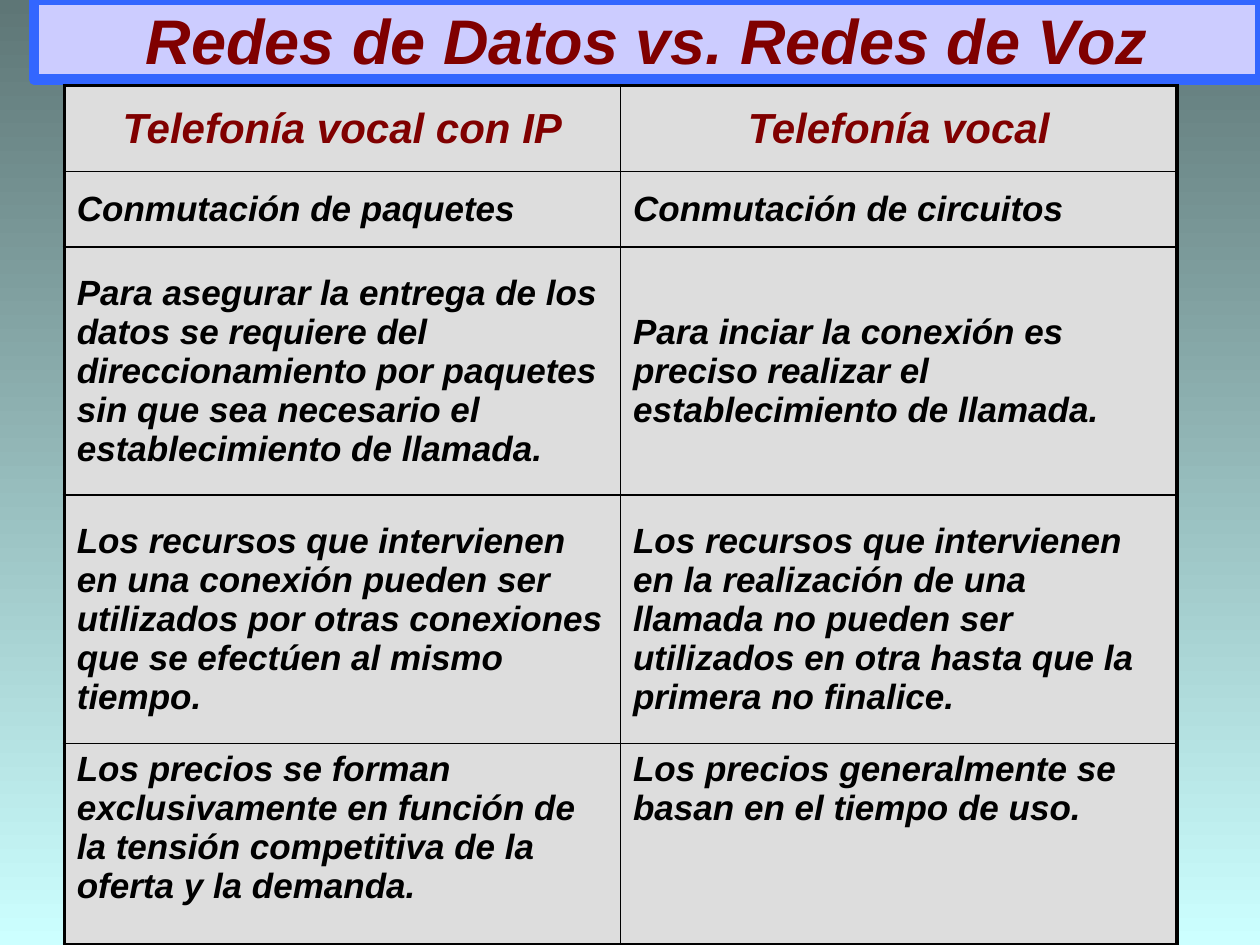
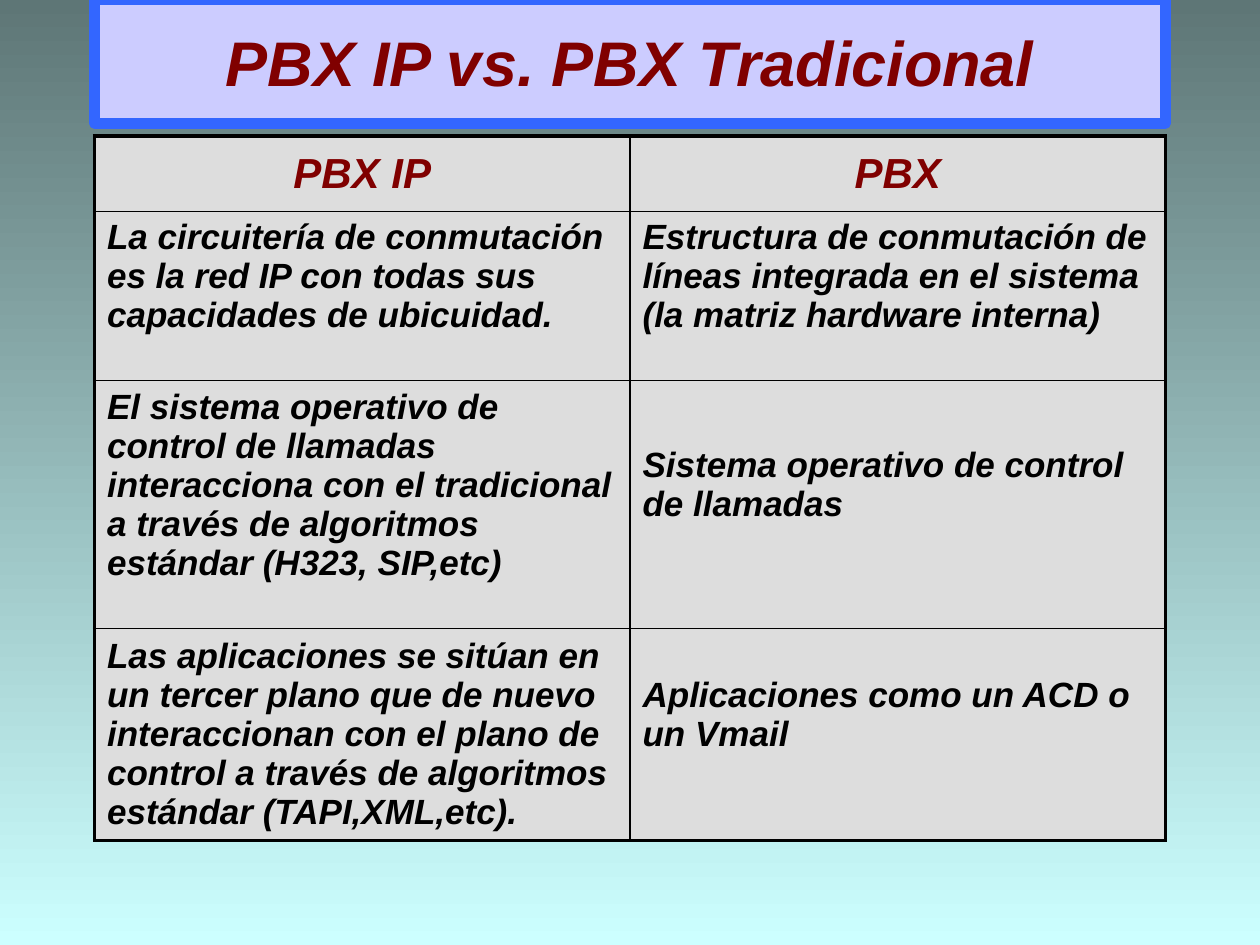
from dataclasses import dataclass

import pptx
import pptx.dml.color
import pptx.enum.text
import pptx.oxml
import pptx.oxml.ns
import pptx.util
from pptx.util import Inches

HUES = {
    "top": "5E7676",
    "base": "CCFFFF",
    "band": "CCCCFF",
    "edge": "3366FF",
    "head": "800000",
    "text": "000000",
    "cell": "DDDDDD",
}
FONT = "Arial"
PAD = 0.05
GAP = 0.36  # bottom margin that lifts the text by half a line
THICK, THIN = 2.25, 1

MID = pptx.enum.text.MSO_ANCHOR.MIDDLE
TOP = pptx.enum.text.MSO_ANCHOR.TOP
LEFT = pptx.enum.text.PP_ALIGN.LEFT
CENTER = pptx.enum.text.PP_ALIGN.CENTER


@dataclass
class Entry:
    text: str
    foot: float = PAD
    anchor: pptx.enum.text.MSO_ANCHOR = MID


@dataclass
class Row:
    height: float
    cells: tuple[Entry, Entry]


@dataclass
class Page:
    title: str
    band: tuple[float, float, float]  # left, width, height
    left: float
    top: float
    width: float
    rows: list[Row]


PAGES = [
    Page("Redes de Datos vs. Redes de Voz", (0.27, 9.73, 0.63), 0.51, 0.68, 8.83, [
        Row(0.68, (Entry("Telefonía vocal con IP"), Entry("Telefonía vocal"))),
        Row(0.6, (Entry("Conmutación de paquetes"),
                  Entry("Conmutación de circuitos"))),
        Row(1.97, (
            Entry("Para asegurar la entrega de los datos se requiere del "
                  "direccionamiento por paquetes sin que sea necesario el "
                  "establecimiento de llamada."),
            Entry("Para inciar la conexión es preciso realizar el "
                  "establecimiento de llamada."))),
        Row(1.97, (
            Entry("Los recursos que intervienen en una conexión pueden ser "
                  "utilizados por otras conexiones que se efectúen al mismo "
                  "tiempo."),
            Entry("Los recursos que intervienen en la realización de una "
                  "llamada no pueden ser utilizados en otra hasta que la "
                  "primera no finalice."))),
        Row(1.6, (
            Entry("Los precios se forman exclusivamente en función de la "
                  "tensión competitiva de la oferta y la demanda.", anchor=TOP),
            Entry("Los precios generalmente se basan en el tiempo de uso.",
                  anchor=TOP))),
    ]),
    Page("PBX IP vs. PBX Tradicional", (0.75, 8.5, 0.98), 0.75, 1.08, 8.5, [
        Row(0.6, (Entry("PBX IP"), Entry("PBX"))),
        Row(1.34, (
            Entry("La circuitería de conmutación es la red IP con todas sus "
                  "capacidades de ubicuidad.", GAP),
            Entry("Estructura de conmutación de líneas integrada en el "
                  "sistema (la matriz hardware interna)", GAP))),
        Row(1.97, (
            Entry("El sistema operativo de control de llamadas interacciona "
                  "con el tradicional a través de algoritmos estándar "
                  "(H323, SIP,etc)", GAP),
            Entry("Sistema operativo de control de llamadas", GAP))),
        Row(1.68, (
            Entry("Las aplicaciones se sitúan en un tercer plano que de nuevo "
                  "interaccionan con el plano de control a través de "
                  "algoritmos estándar (TAPI,XML,etc)."),
            Entry("Aplicaciones como un ACD o un Vmail", GAP))),
    ]),
]


def hue(name: str) -> pptx.dml.color.RGBColor:
    return pptx.dml.color.RGBColor.from_string(HUES[name])


def style(frame, size: float, name: str, align) -> None:
    """Format every run of a text frame."""
    for par in frame.paragraphs:
        par.alignment = align
        for run in par.runs:
            font = run.font
            font.name, font.size = FONT, pptx.util.Pt(size)
            font.bold = font.italic = True
            font.color.rgb = hue(name)


def border(cell, side: str, width: float) -> None:
    line = pptx.oxml.parse_xml(
        f'<a:ln{side} {pptx.oxml.ns.nsdecls("a")} w="{pptx.util.Pt(width)}">'
        f'<a:solidFill><a:srgbClr val="{HUES["text"]}"/></a:solidFill>'
        f'</a:ln{side}>')
    cell._tc.get_or_add_tcPr().append(line)


def add_title(slide, page: Page) -> None:
    left, width, height = page.band
    title = slide.shapes.title
    title.left, title.top = Inches(left), Inches(0)
    title.width, title.height = Inches(width), Inches(height)
    title.fill.solid()
    title.fill.fore_color.rgb = hue("band")
    title.line.color.rgb = hue("edge")
    title.line.width = pptx.util.Pt(6)
    frame = title.text_frame
    frame.text = page.title
    frame.vertical_anchor = MID
    style(frame, 36, "head", CENTER)


def add_cell(cell, entry: Entry, header: bool) -> None:
    cell.margin_left = cell.margin_right = Inches(0.1)
    cell.margin_top, cell.margin_bottom = Inches(PAD), Inches(entry.foot)
    cell.vertical_anchor = entry.anchor
    cell.text_frame.text = entry.text
    if header:
        style(cell.text_frame, 24, "head", CENTER)
    else:
        style(cell.text_frame, 20, "text", LEFT)


def add_grid(slide, page: Page) -> None:
    count = len(page.rows)
    height = sum(row.height for row in page.rows)
    table = slide.shapes.add_table(
        count, 2, Inches(page.left), Inches(page.top),
        Inches(page.width), Inches(height)).table
    table.first_row = table.horz_banding = False
    for r, row in enumerate(page.rows):
        table.rows[r].height = Inches(row.height)
        for c, entry in enumerate(row.cells):
            cell = table.cell(r, c)
            add_cell(cell, entry, r == 0)
            # Thick lines around the table, thin ones inside
            outer = {"L": c == 0, "R": c == 1, "T": r == 0, "B": r == count - 1}
            for side, thick in outer.items():
                border(cell, side, THICK if thick else THIN)
            cell.fill.solid()
            cell.fill.fore_color.rgb = hue("cell")


def main() -> None:
    deck = pptx.Presentation()
    deck.slide_width, deck.slide_height = Inches(10), Inches(7.5)

    # Shared background, dark at the top
    fill = deck.slide_master.background.fill
    fill.gradient()
    fill.gradient_angle = 270
    for stop, name in zip(fill.gradient_stops, ("top", "base")):
        stop.color.rgb = hue(name)

    # Slides
    for page in PAGES:
        slide = deck.slides.add_slide(deck.slide_layouts[5])
        add_title(slide, page)
        add_grid(slide, page)
    deck.save("out.pptx")


if __name__ == "__main__":
    main()
